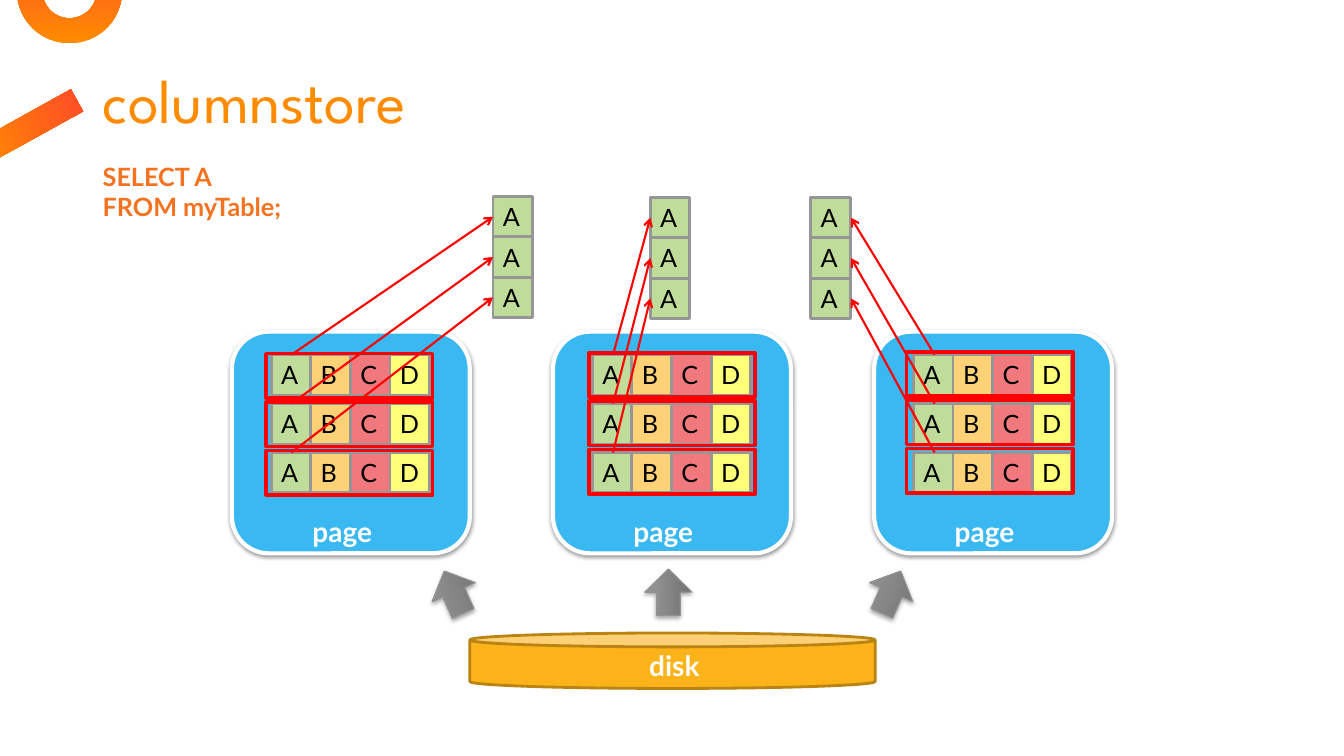
from lxml import etree
from pptx import Presentation
from pptx import util as u
from pptx.dml import color
from pptx.enum import shapes, text
from pptx.oxml import ns

HUES = {
    "orange": "FF8C00", "coral": "FF4B28", "query": "F47321",
    "page": "3AB8F1", "disk": "FCB219", "rim": "BA8412",
    "A": "C0DC9B", "B": "FDD175", "C": "F1797E", "D": "FFFF79",
    "edge": "969696", "red": "FF0000", "white": "FFFFFF", "black": "000000",
    "dark": "707070", "light": "919191", "trim": "939393",
}
KIND = shapes.MSO_SHAPE
COLS, ROWS = 133.3, 75
CELL, HIGH = 3.93, 4
STEP = 4.85


def grid(*spans):
    return [u.Inches(round(span / 10, 3)) for span in spans]


def hue(name):
    return color.RGBColor.from_string(HUES[name])


def write(frame, words, size=18, font="Lato", ink="black", bold=False,
          anchor=text.MSO_ANCHOR.TOP, space=1.0):
    frame.word_wrap = True
    frame.vertical_anchor = anchor
    para = frame.paragraphs[0]
    para.alignment = text.PP_ALIGN.LEFT
    para.line_spacing = space
    for count, line in enumerate(words.splitlines()):
        if count:
            para.add_line_break()
        run = para.add_run()
        run.text = line
        run.font.size = u.Pt(size)
        run.font.name = font
        run.font.bold = bold
        run.font.color.rgb = hue(ink)


class Sketch:
    def __init__(self, slide):
        self.items = slide.shapes

    def shape(self, kind, box, fill=None, line=None, width=2, turn=0, blend=None):
        item = self.items.add_shape(kind, *grid(*box))
        item.shadow.inherit = False
        item.rotation = turn
        if blend:
            start, end, stop = blend
            item.fill.gradient()
            item.fill.gradient_angle = 90
            stops = item.fill.gradient_stops
            for mark, name, place in zip(stops, (start, end), (0, stop)):
                mark.color.rgb = hue(name)
                mark.position = place
        elif fill:
            item.fill.solid()
            item.fill.fore_color.rgb = hue(fill)
        else:
            item.fill.background()
        if line:
            item.line.color.rgb = hue(line)
            item.line.width = u.Pt(width)
        else:
            item.line.fill.background()
        return item

    def shade(self, item, alpha, drop):
        effects = item._element.spPr.find(ns.qn("a:effectLst"))
        outer = etree.SubElement(effects, ns.qn("a:outerShdw"), blurRad=str(u.Pt(3.1)),
                                 dist=str(u.Pt(drop)), dir="5400000", rotWithShape="0")
        tint = etree.SubElement(outer, ns.qn("a:srgbClr"), val=HUES["black"])
        etree.SubElement(tint, ns.qn("a:alpha"), val=str(alpha * 1000))

    def label(self, box, words, **style):
        write(self.items.add_textbox(*grid(*box)).text_frame, words, **style)

    def cell(self, left, top, name):
        item = self.shape(KIND.RECTANGLE, (left, top, CELL, HIGH), name, "edge")
        write(item.text_frame, name)

    def arrow(self, start, end):
        item = self.items.add_connector(shapes.MSO_CONNECTOR.STRAIGHT,
                                        *grid(*start, *end))
        item.line.color.rgb = hue("red")
        item.line.width = u.Pt(1.5)
        etree.SubElement(item.line._get_or_add_ln(), ns.qn("a:tailEnd"), type="arrow")
        etree.SubElement(item._element.spPr, ns.qn("a:effectLst"))

    def page(self, left, frame_left, frame_top):
        box = self.shape(KIND.ROUNDED_RECTANGLE, (left, 32.9, 23.6, 22),
                         "page", "white", 3)
        self.shade(box, 38, 1.6)
        for row in range(3):
            for col, name in enumerate("ABCD"):
                self.cell(left + 3.9 + col * CELL, 35.2 + row * STEP, name)
        for row in range(3):
            self.shape(KIND.RECTANGLE, (frame_left, frame_top + row * 4.8, 16.5, 4.4),
                       line="red", width=2.5)
        self.label((left + 7, 50.6, 8.7, 4.4), "page", size=20, ink="white", bold=True)

    def stack(self, left, top, source, edge):
        for row in range(3):
            self.cell(left, top + row * HIGH, "A")
        for row in range(3):
            self.arrow((source, 35.2 + row * STEP),
                       (edge, top + HIGH / 2 + row * HIGH))


def main():
    deck = Presentation()
    deck.slide_width, deck.slide_height = grid(COLS, ROWS)
    art = Sketch(deck.slides.add_slide(deck.slide_layouts[6]))

    warm = ("orange", "coral", 1)
    ring = art.shape(KIND.DONUT, (1.7, -6.1, 10.4, 10.4), blend=warm)
    ring.adjustments[0] = 0.24
    art.shape(KIND.RECTANGLE, (1.7, 7.2, 2.5, 10.7), turn=61, blend=warm)
    art.label((9.2, 5.3, 115, 8.8), "columnstore", size=44, font="League Spartan",
              ink="orange", anchor=text.MSO_ANCHOR.BOTTOM, space=0.9)
    art.label((9.2, 15.5, 22.8, 7.1), """SELECT A
FROM myTable;""", ink="query", bold=True)

    art.shape(KIND.CAN, (46.6, 62.8, 40.2, 5.5), "disk", "rim")
    art.label((63.4, 63.8, 7.9, 4.4), "disk", size=20, ink="white", bold=True)

    for place in ((23, 26.4, 35.1), (54.85, 58.4, 35), (86.7, 89.9, 34.9)):
        art.page(*place)

    for left, turn in ((42.7, 246.1), (64, 270), (86.1, 294)):
        feed = art.shape(KIND.RIGHT_ARROW, (left, 56.4, 4.6, 4.7), line="trim",
                         width=0.75, turn=turn, blend=("dark", "light", 0.8))
        art.shade(feed, 35, 1.8)

    for place in ((48.9, 19.5, 28.9, 48.9), (64.5, 19.6, 60.8, 64.5),
                  (80.4, 19.6, 92.7, 84.4)):
        art.stack(*place)

    deck.save("out.pptx")


if __name__ == "__main__":
    main()
